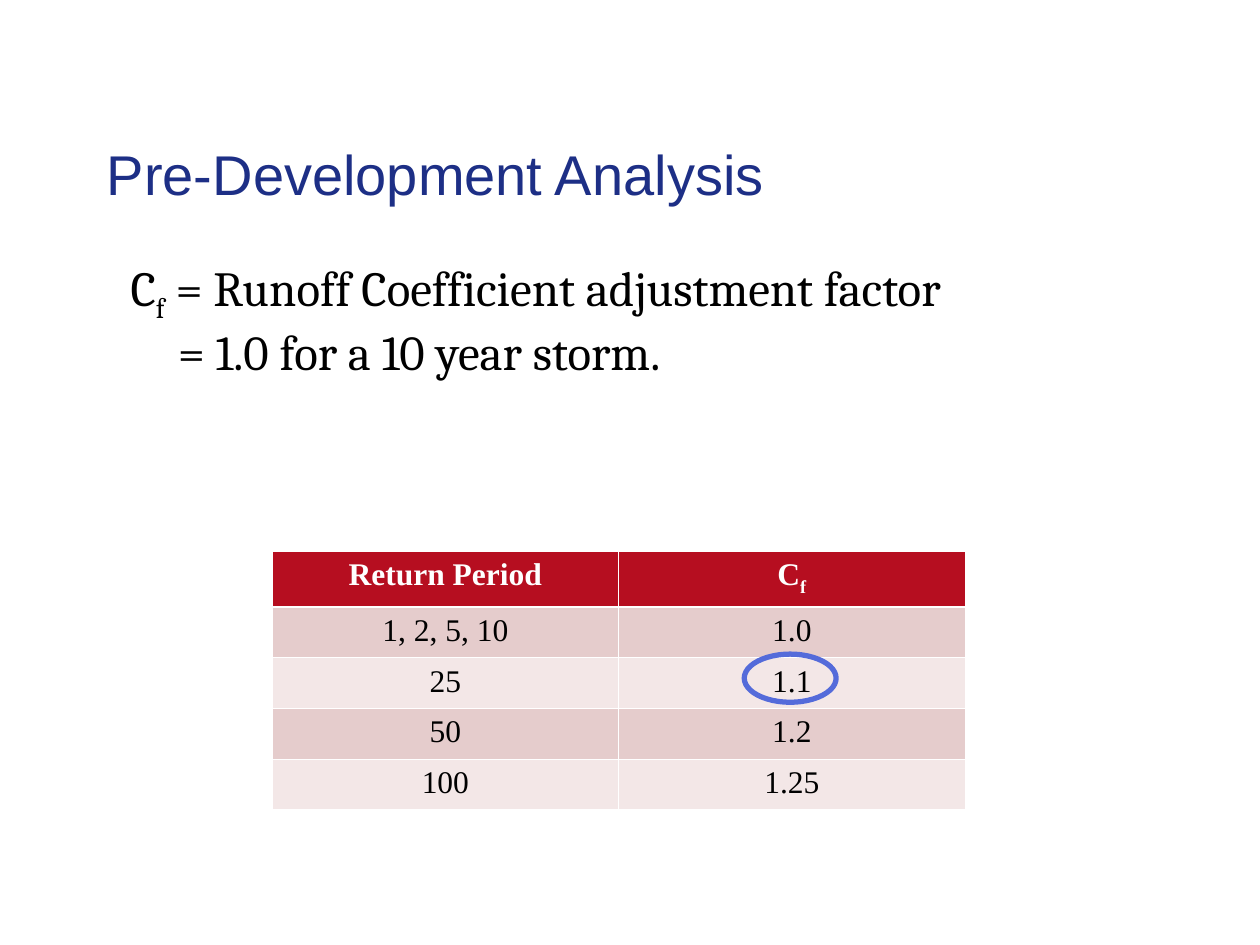
from dataclasses import dataclass

from lxml.etree import SubElement
from pptx import Presentation
from pptx.dml.color import RGBColor
from pptx.enum.shapes import MSO_SHAPE
from pptx.enum.text import MSO_ANCHOR, PP_ALIGN
from pptx.oxml.ns import qn
from pptx.util import Pt

NAVY = RGBColor(0x1D, 0x2F, 0x86)
BLACK = RGBColor(0x00, 0x00, 0x00)
WHITE = RGBColor(0xFF, 0xFF, 0xFF)
RED = RGBColor(0xB6, 0x0E, 0x20)
ROSE = RGBColor(0xE5, 0xCC, 0xCC)
PALE_ROSE = RGBColor(0xF3, 0xE7, 0xE7)
BLUE = RGBColor(0x54, 0x6B, 0xDA)

HANGING = Pt(27)
THIN, THICK = Pt(0.45), Pt(1.47)


@dataclass(frozen=True)
class TextStyle:
    font: str
    size: float
    color: RGBColor
    bold: bool = False


@dataclass(frozen=True)
class Label:
    text: str
    subscript: str = ""
    rest: str = ""


TITLE = TextStyle("Arial", 32, NAVY)
BODY = TextStyle("Cambria", 28, BLACK)
HEADER = TextStyle("Times New Roman", 18, WHITE, True)
CELL = TextStyle("Times New Roman", 18, BLACK)

ROWS = [
    (Label("Return Period"), Label("C", "f")),
    (Label("1, 2, 5, 10"), Label("1.0")),
    (Label("25"), Label("1.1")),
    (Label("50"), Label("1.2")),
    (Label("100"), Label("1.25")),
]


def write(p, label: Label, style: TextStyle) -> None:
    p.text = label.text
    if label.subscript:
        r = p.add_run()
        r.text = label.subscript
        r._r.get_or_add_rPr().set("baseline", "-25000")
    if label.rest:
        p.add_run().text = label.rest
    for r in p.runs:
        r.font.name = style.font
        r.font.size = Pt(style.size)
        r.font.bold = style.bold
        r.font.color.rgb = style.color


def add_text_box(s, left: float, top: float, width: float, height: float):
    tf = s.shapes.add_textbox(Pt(left), Pt(top), Pt(width), Pt(height)).text_frame
    tf.word_wrap = True
    return tf


def add_borders(cell, top: int, bottom: int) -> None:
    tcPr = cell._tc.get_or_add_tcPr()
    for side, width in (("L", THIN), ("R", THIN), ("T", top), ("B", bottom)):
        ln = SubElement(tcPr, qn(f"a:ln{side}"), w=str(width))
        fill = SubElement(ln, qn("a:solidFill"))
        SubElement(fill, qn("a:srgbClr"), val=str(WHITE))


def add_title(s) -> None:
    tf = add_text_box(s, 54, 75, 630, 48)
    tf.vertical_anchor = MSO_ANCHOR.MIDDLE
    write(tf.paragraphs[0], Label("Pre-Development Analysis"), TITLE)


def add_definition(s) -> None:
    tf = add_text_box(s, 67.5, 147, 605.5, 101.5)
    first, second = tf.paragraphs[0], tf.add_paragraph()
    write(first, Label("C", "f", " = Runoff Coefficient adjustment factor"), BODY)
    write(second, Label("= 1.0 for a 10 year storm."), BODY)
    second.space_before = Pt(9)
    for p, indent in ((first, -HANGING), (second, 0)):
        p.line_spacing = 0.8
        pPr = p._p.get_or_add_pPr()
        pPr.set("marL", str(HANGING))
        pPr.set("indent", str(indent))


def add_factor_table(s) -> None:
    frame = s.shapes.add_table(len(ROWS), 2, Pt(155.5), Pt(314.8), Pt(396), Pt(148))
    table = frame.table
    table.horz_banding = False
    for column in table.columns:
        column.width = Pt(198)
    for i, labels in enumerate(ROWS):
        table.rows[i].height = Pt(29 if i else 32)
        for j, label in enumerate(labels):
            cell = table.cell(i, j)
            p = cell.text_frame.paragraphs[0]
            write(p, label, CELL if i else HEADER)
            p.alignment = PP_ALIGN.CENTER
            add_borders(cell, THICK if i == 1 else THIN, THICK if i == 0 else THIN)
            cell.fill.solid()
            cell.fill.fore_color.rgb = (ROSE if i % 2 else PALE_ROSE) if i else RED


def add_highlight(s) -> None:
    ring = s.shapes.add_shape(MSO_SHAPE.OVAL, Pt(425.3), Pt(373.8), Pt(52.5), Pt(27.5))
    ring.shadow.inherit = False
    ring.fill.background()
    ring.line.color.rgb = BLUE
    ring.line.width = Pt(3)


def main() -> None:
    prs = Presentation()
    prs.slide_width, prs.slide_height = Pt(720), Pt(540)
    s = prs.slides.add_slide(prs.slide_layouts[6])
    add_definition(s)
    add_title(s)
    add_factor_table(s)
    add_highlight(s)
    prs.save("out.pptx")


if __name__ == "__main__":
    main()
